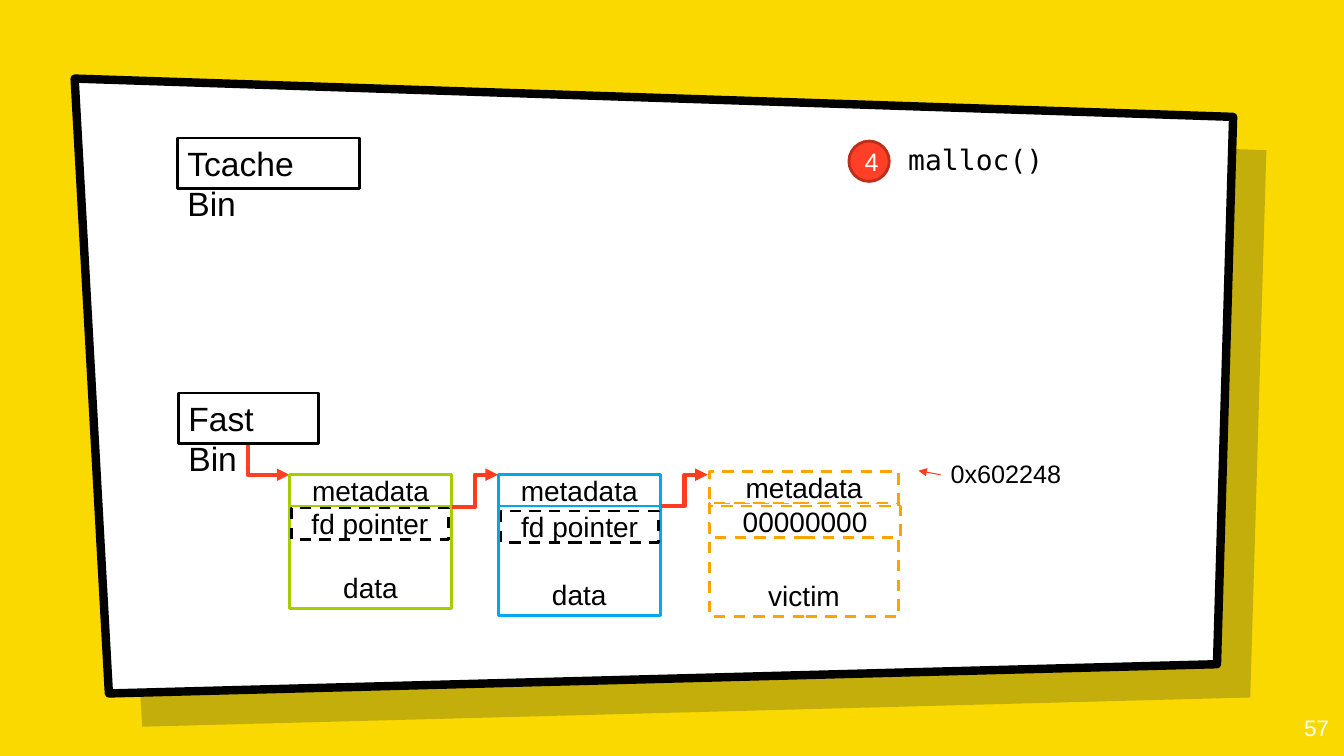
from lxml import etree
from pptx import Presentation
from pptx.dml.color import RGBColor
from pptx.enum.dml import MSO_LINE
from pptx.enum.shapes import MSO_CONNECTOR as CONNECTOR, MSO_SHAPE as SHAPE
from pptx.enum.text import MSO_ANCHOR as ANCHOR, PP_ALIGN as ALIGN
from pptx.oxml.ns import qn
from pptx.util import Inches, Pt

COLORS = {
    "background": "FAD900", "shadow": "001936", "white": "FFFFFF",
    "black": "000000", "badge": "FF4026", "badge_edge": "BD2F1C",
    "arrow": "FF3B20", "green": "A6CD02", "blue": "00A7EB", "orange": "FFA300",
}
ROW = 0.31  # height of a metadata or pointer row


def rgb(name):
    return RGBColor.from_string(COLORS[name])


def write(shape, text, size, color="black", align=ALIGN.CENTER,
          anchor=ANCHOR.MIDDLE, font="Arial", wrap=True):
    frame = shape.text_frame
    frame.word_wrap = wrap
    frame.vertical_anchor = anchor
    paragraph = frame.paragraphs[0]
    paragraph.text = text
    paragraph.alignment = align
    paragraph.font.size = Pt(size)
    paragraph.font.name = font
    paragraph.font.color.rgb = rgb(color)


def paint(shape, fill, edge=None, width=2, dashed=False):
    shape.shadow.inherit = False
    shape.fill.solid()
    shape.fill.fore_color.rgb = rgb(fill)
    if edge is None:
        shape.line.fill.background()
        return
    shape.line.color.rgb = rgb(edge)
    shape.line.width = Pt(width)
    if dashed:
        shape.line.dash_style = MSO_LINE.DASH


def add_box(slide, box, text, edge=None, dashed=False, size=20, **text_style):
    shape = slide.shapes.add_shape(SHAPE.RECTANGLE, *map(Inches, box))
    paint(shape, "white", edge, dashed=dashed)
    write(shape, text, size, **text_style)
    return shape


def add_text(slide, box, text, size, **text_style):
    label = slide.shapes.add_textbox(*map(Inches, box))
    write(label, text, size, **text_style)


def add_arrow(slide, start, end, kind=CONNECTOR.ELBOW, color="arrow", width=3):
    arrow = slide.shapes.add_connector(kind, *map(Inches, start + end))
    arrow.line.color.rgb = rgb(color)
    arrow.line.width = Pt(width)
    line = arrow.line._get_or_add_ln()
    etree.SubElement(line, qn("a:tailEnd"), type="triangle")
    etree.SubElement(arrow._element.spPr, qn("a:effectLst"))
    return arrow


def add_corner_arrow(slide, start, end):
    """Arrow that runs down from start, then right to end."""
    arrow = add_arrow(slide, start, end, color="badge")
    across, down = end[0] - start[0], end[1] - start[1]
    # A quarter turn swaps width and height around the same centre
    arrow.left = Inches((start[0] + end[0] - down) / 2)
    arrow.top = Inches((start[1] + end[1] - across) / 2)
    arrow.width, arrow.height = Inches(down), Inches(across)
    properties = arrow._element.spPr
    properties.find(qn("a:prstGeom")).set("prst", "bentConnector2")
    transform = properties.find(qn("a:xfrm"))
    transform.set("rot", "16200000")
    transform.set("flipH", "1")


def add_panel(slide, left, top, fill, edge=None):
    """Slanted sheet with its upper left corner at left, top."""
    corners = [(0, 0), (11.49, 0.38), (11.33, 5.81), (0.34, 6.1)]
    points = [(Inches(left + x), Inches(top + y)) for x, y in corners]
    builder = slide.shapes.build_freeform(*points[0])
    builder.add_line_segments(points[1:], close=True)
    panel = builder.convert_to_shape()
    paint(panel, fill, edge, width=6)
    return panel


def add_backdrop(slide):
    slide.background.fill.solid()
    slide.background.fill.fore_color.rgb = rgb("background")
    shadow = add_panel(slide, 1.07, 1.11, "shadow")
    tint = shadow._element.spPr.find(qn("a:solidFill"))[0]
    etree.SubElement(tint, qn("a:alpha"), val="22000")
    add_panel(slide, 0.74, 0.78, "white", "black")
    add_text(slide, (12.48, 6.93, 0.8, 0.57), "57", 16, color="white",
             align=ALIGN.RIGHT, anchor=ANCHOR.MIDDLE)


def add_bin(slide, box, name):
    add_box(slide, box, name, "black", size=24, align=ALIGN.LEFT,
            anchor=ANCHOR.TOP)


def add_chunk(slide, box, edge, body, pointer, pointer_box, pointer_edge,
              dashed=False):
    """Heap chunk: metadata row, body below it, pointer row on top."""
    left, top, width, height = box
    add_box(slide, (left, top + ROW, width, height - ROW), body, edge, dashed,
            anchor=ANCHOR.BOTTOM)
    add_box(slide, (left, top, width, ROW), "metadata", edge, dashed)
    dx, dy, pointer_width = pointer_box
    add_box(slide, (left + dx, top + dy, pointer_width, ROW), pointer,
            pointer_edge, dashed=True)


def add_fast_bin(slide, left, top):
    """Fast bin with its linked list of chunks."""
    chunk_top = top + 0.81
    add_corner_arrow(slide, (left + 0.69, top + 0.5), (left + 1.1, chunk_top))
    add_bin(slide, (left, top, 1.39, 0.5), "Fast Bin")
    add_chunk(slide, (left + 1.1, chunk_top, 1.61, 1.33), "green", "data",
              "fd pointer", (0.02, 0.33, 1.56), "black")
    add_chunk(slide, (left + 3.17, chunk_top, 1.61, 1.4), "blue", "data",
              "fd pointer", (0.03, 0.36, 1.56), "black")
    add_chunk(slide, (left + 5.27, chunk_top - 0.03, 1.87, 1.44), "orange",
              "victim", "00000000", (0, 0.34, 1.89), "orange", dashed=True)
    for x, drop in ((2.71, 0.32), (4.79, 0.31)):
        add_arrow(slide, (left + x, chunk_top + drop),
                  (left + x + 0.46, chunk_top))


def add_step(slide, left, top):
    """Numbered call."""
    badge = slide.shapes.add_shape(
        SHAPE.OVAL, *map(Inches, (left, top, 0.4, 0.4)))
    paint(badge, "badge", "badge_edge")
    write(badge, "4", 18, color="white")
    add_box(slide, (left + 0.49, top - 0.08, 2.3, 0.53), "malloc()",
            align=ALIGN.LEFT, font="DejaVu Sans Mono")


def add_address(slide, left, top):
    """Address of the victim chunk, with its pointer."""
    add_text(slide, (left, top, 1.34, 0.4), "0x602248", 18, align=ALIGN.LEFT,
             anchor=ANCHOR.TOP, wrap=False)
    add_arrow(slide, (left, top + 0.21), (left - 0.22, top + 0.17),
              CONNECTOR.STRAIGHT, width=0.75)


def main():
    deck = Presentation()
    deck.slide_width, deck.slide_height = Inches(13.33), Inches(7.5)
    slide = deck.slides.add_slide(deck.slide_layouts[6])
    add_backdrop(slide)
    add_fast_bin(slide, 1.77, 3.9)
    add_bin(slide, (1.76, 1.37, 1.81, 0.5), "Tcache Bin")
    add_step(slide, 8.42, 1.4)
    add_address(slide, 9.33, 4.5)
    deck.save("out.pptx")


if __name__ == "__main__":
    main()
